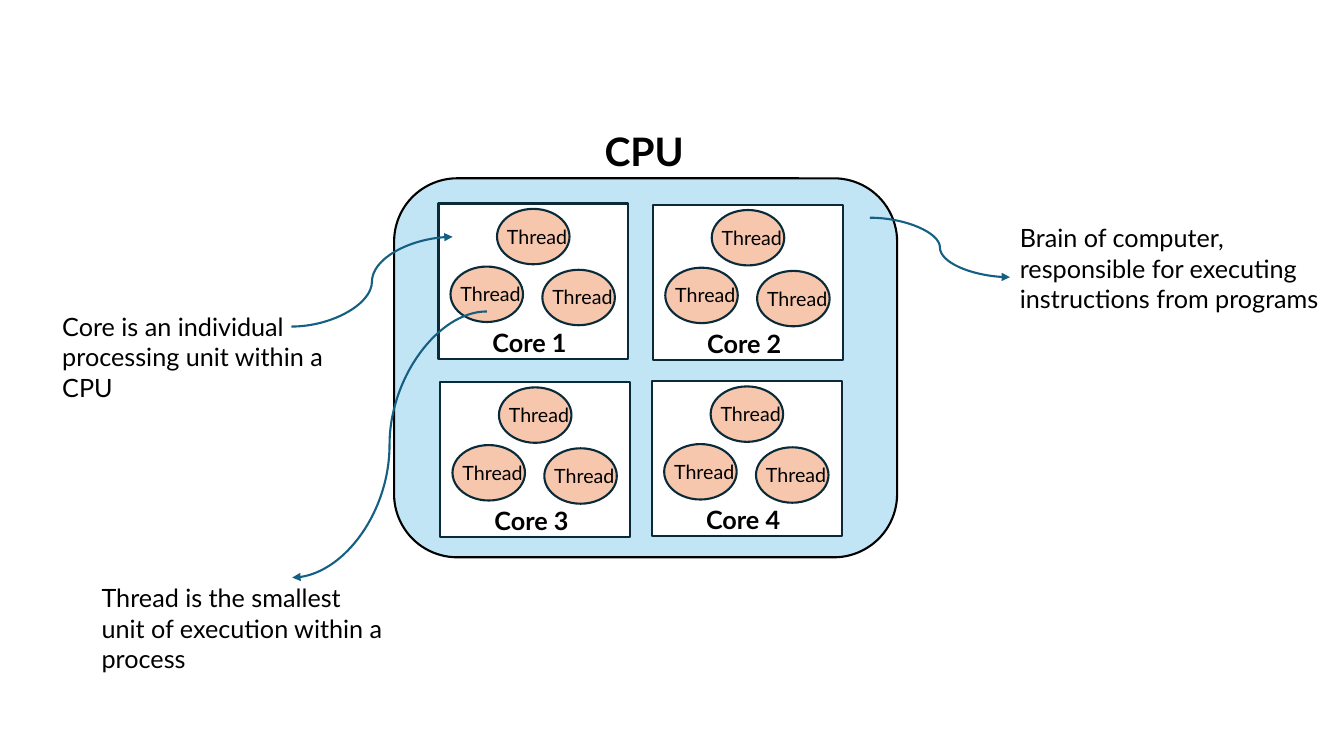
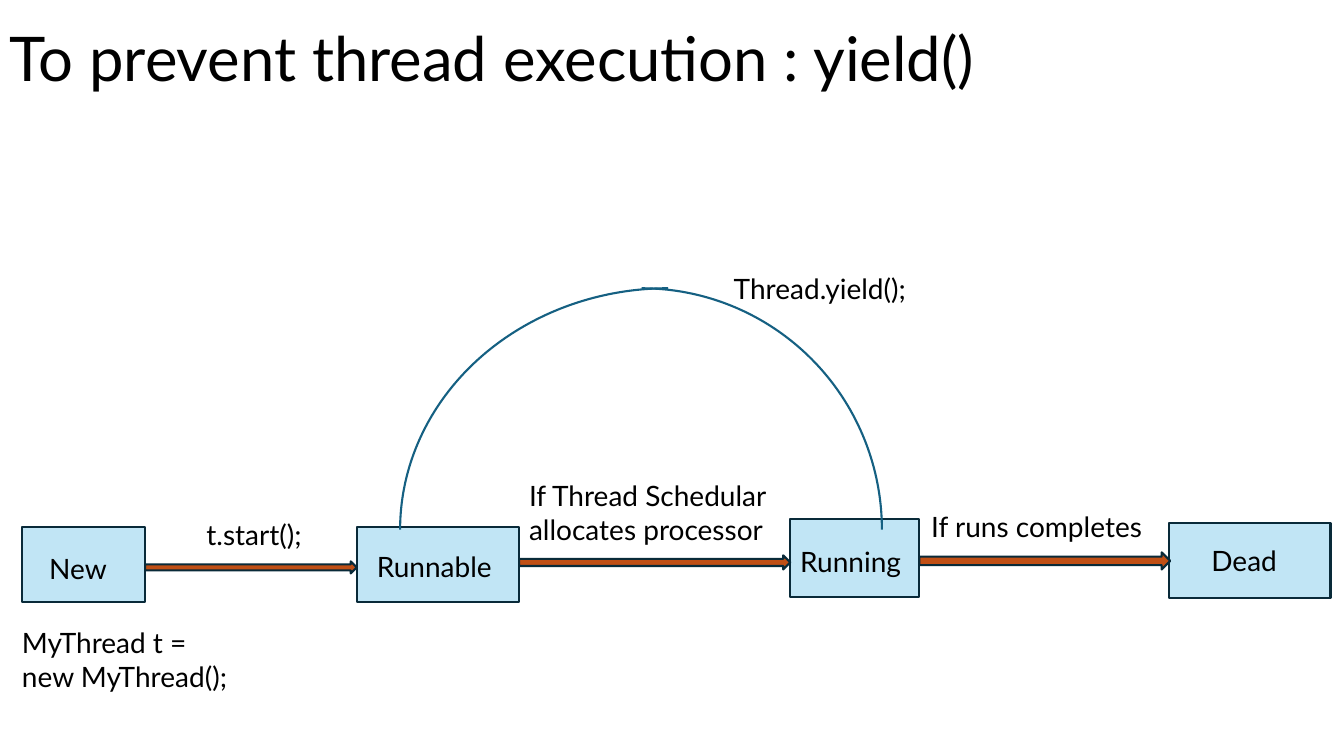
import pptx
import pptx.util
import pptx.dml.color
import pptx.enum.shapes
import pptx.enum.text
import lxml.etree

Pt = pptx.util.Pt
Kind = pptx.enum.shapes.MSO_SHAPE
Anchor = pptx.enum.text.MSO_ANCHOR
A = "{http://schemas.openxmlformats.org/drawingml/2006/main}"

FONT = "Lato"
BLACK, WHITE = "000000", "FFFFFF"
SKY, PEACH, RUST = "C1E5F5", "F6C6AD", "C04F15"
EDGE, CURVE = "092A39", "156082"

CPU = (281.5, 127.4, 359.3, 270.7)
CORES = [
    ("Core 1", 313.2, 145.4),
    ("Core 2", 466.6, 146.2),
    ("Core 3", 314.6, 272.9),
    ("Core 4", 465.8, 272.2),
]
THREADS = [(41.8, 3.8), (8.6, 45), (74.2, 47.3)]
FACTS = [
    ("Brain of computer, responsible for executing instructions from programs",
     (721.4, 155.5, 239, 72.7)),
    ("Core is an individual processing unit within a CPU",
     (37.4, 218.9, 216, 72.7)),
    ("Thread is the smallest unit of execution within a process",
     (65.5, 412.6, 216, 72.7)),
]
POINTERS = [
    (208.1, 233.3, 323.3, 169.2),
    (621.4, 155.5, 721.4, 198),
    (347.8, 222.5, 208.8, 412.6),
]

TITLE = "To prevent thread execution : yield()"
STATES = [
    ("New", (15.8, 376.6, 88, 53.3), (28.1, 390.2, 61.2, 31.7)),
    ("Runnable", (255, 376.6, 115.6, 53.3), (262.1, 388.8, 103, 31.7)),
    ("Running", (564.5, 370.8, 92.2, 55.4), (564.5, 385.2, 103, 31.7)),
    ("Dead", (835.2, 373.7, 115.2, 53.3), (858.2, 384.5, 74.9, 31.7)),
]
ARROWS = [
    (103.7, 401, 151.2, 8.6),
    (370.8, 396.7, 193.7, 10.1),
    (656.6, 394.6, 179.3, 12.2),
]
NOTES = [
    ("MyThread t = new MyThread();", (8.6, 443.5, 164.9, 55.4)),
    ("t.start();", (140.4, 365.8, 88.6, 31.7)),
    ("If Thread Schedular allocates processor", (370.8, 338.4, 193.7, 55.4)),
    ("If runs completes", (658.1, 360.7, 171.4, 31.7)),
    ("Thread.yield();", (517, 190.1, 198, 31.7)),
]
ARCS = [
    ((286.6, 205.9, 343.4, 344.9), 270, 0),
    ((285.8, 205.9, 383, 344.9), 180, 270),
]


def color(code):
    return pptx.dml.color.RGBColor.from_string(code)


def stroke(line, code):
    line.color.rgb = color(code)
    line.width = Pt(1.5)


def shape(slide, kind, box, fill=None, edge=EDGE):
    item = slide.shapes.add_shape(kind, *map(Pt, box))
    item.shadow.inherit = False
    if fill:
        item.fill.solid()
        item.fill.fore_color.rgb = color(fill)
    else:
        item.fill.background()
    stroke(item.line, edge)
    return item


def write(slide, text, box, size=18, bold=False, anchor=Anchor.TOP, space=1.0):
    frame = slide.shapes.add_textbox(*map(Pt, box)).text_frame
    frame.word_wrap = True
    frame.vertical_anchor = anchor
    para = frame.paragraphs[0]
    para.line_spacing = space
    run = para.add_run()
    run.text = text
    run.font.name = FONT
    run.font.size = Pt(size)
    run.font.bold = bold
    run.font.color.rgb = color(BLACK)


def pointer(slide, ends):
    curve = pptx.enum.shapes.MSO_CONNECTOR.CURVE
    item = slide.shapes.add_connector(curve, *map(Pt, ends))
    stroke(item.line, CURVE)
    props = item._element.spPr
    lxml.etree.SubElement(props.find(A + "ln"), A + "tailEnd", type="triangle")
    lxml.etree.SubElement(props, A + "effectLst")


def core(slide, name, x, y):
    shape(slide, Kind.RECTANGLE, (x, y, 135.4, 110.9), WHITE)
    for dx, dy in THREADS:
        left, top = x + dx, y + dy
        shape(slide, Kind.OVAL, (left, top, 51.8, 39.6), PEACH)
        write(slide, "Thread", (left, top + 7.6, 72.7, 24.5), size=14)
    write(slide, name, (x + 31.5, y + 84.8, 72, 28.8), bold=True)


def anatomy(slide):
    shape(slide, Kind.ROUNDED_RECTANGLE, CPU, SKY, BLACK)
    write(slide, "CPU", (424.8, 87.1, 76.3, 41), size=28, bold=True)
    for item in CORES:
        core(slide, *item)
    for ends in POINTERS:
        pointer(slide, ends)
    for text, box in FACTS:
        write(slide, text, box)


def cycle(slide):
    write(slide, TITLE, (0, -7.9, 828, 104.4), size=44,
          anchor=Anchor.MIDDLE, space=0.9)
    for name, box, label in STATES:
        shape(slide, Kind.RECTANGLE, box, SKY)
        write(slide, name, label, size=20)
    for box in ARROWS:
        shape(slide, Kind.RIGHT_ARROW, box, RUST)
    for text, box in NOTES:
        write(slide, text, box, size=20)
    for box, start, end in ARCS:
        arc = shape(slide, Kind.ARC, box, edge=CURVE)
        arc.adjustments[0] = start * 0.6
        arc.adjustments[1] = end * 0.6


def main():
    deck = pptx.Presentation()
    deck.slide_width, deck.slide_height = Pt(960), Pt(540)
    for draw in (anatomy, cycle):
        draw(deck.slides.add_slide(deck.slide_layouts[6]))
    deck.save("out.pptx")


if __name__ == "__main__":
    main()
